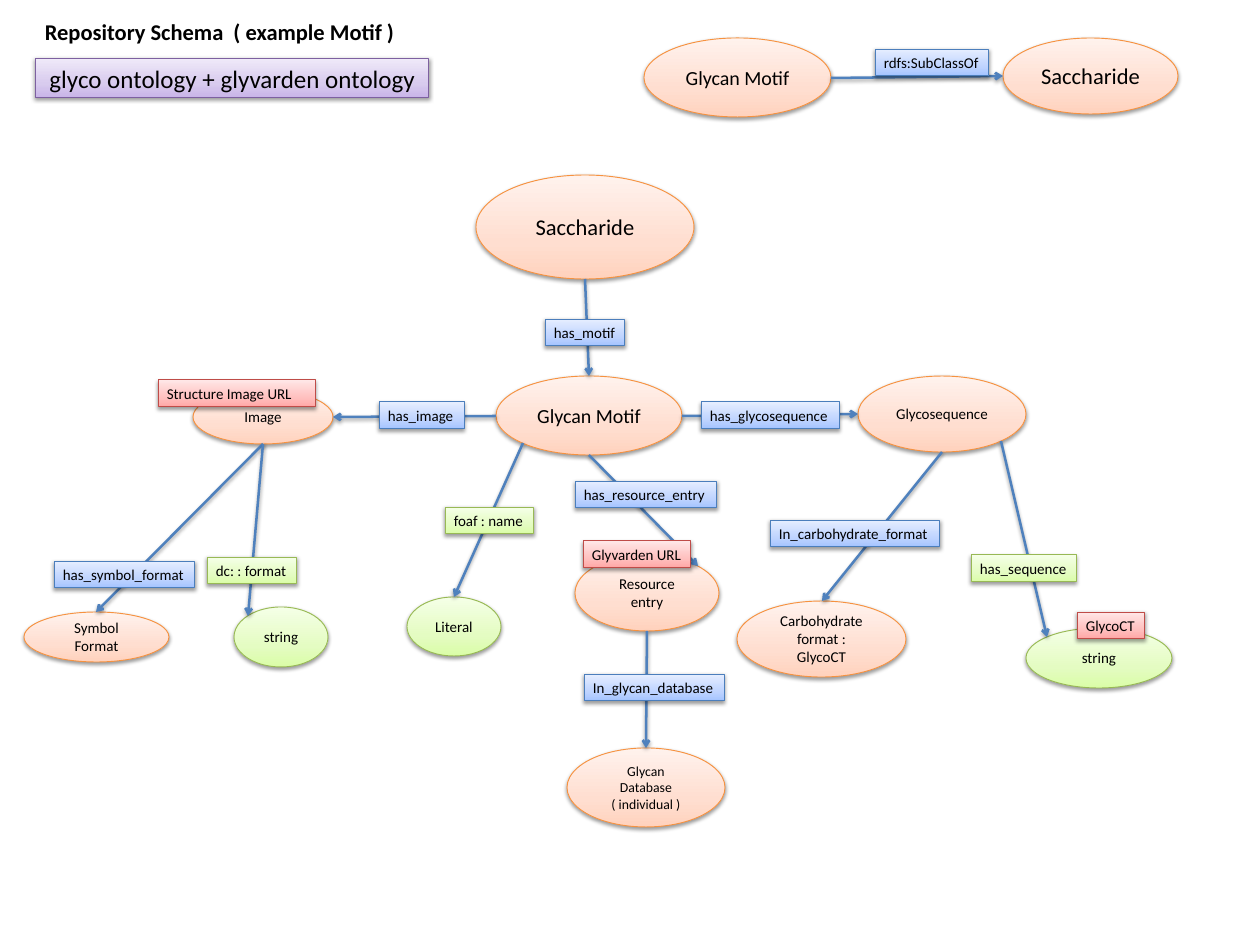
from math import cos, sin, radians
from pptx import Presentation
from pptx.dml.color import RGBColor
from pptx.enum.shapes import MSO_CONNECTOR, MSO_SHAPE
from pptx.enum.text import MSO_ANCHOR, MSO_AUTO_SIZE, PP_ALIGN
from pptx.oxml import parse_xml
from pptx.oxml.ns import nsdecls
from pptx.util import Emu, Pt

PX = 914400 // 90
COLORS = {"text": "000000", "arrow": "4F81BD"}
# Gradient from bottom to top, then outline
STYLES = {
    "orange": ("FFD2BD", "FFDED0", "FFF2ED", "F69240"),
    "green": ("DAFDA7", "E4FCC2", "F5FFE7", "98B955"),
    "blue": ("A4C4FF", "BFD4FF", "E6EEFF", "4B7EBC"),
    "red": ("FFA6A5", "FFC0BF", "FFE7E7", "BF4C48"),
    "purple": ("C9B5E8", "D8CBEE", "F0EAF9", "7D60A0"),
}
SHADOW = ('<a:outerShdw %s blurRad="40000" dist="20000" dir="5400000" rotWithShape="0">'
          '<a:srgbClr val="000000"><a:alpha val="38000"/></a:srgbClr></a:outerShdw>' % nsdecls("a"))

prs = Presentation()
prs.slide_width, prs.slide_height = Emu(1260 * PX), Emu(945 * PX)
s = prs.slides.add_slide(prs.slide_layouts[6])


def write(sp, text, size=12, bold=False, align=PP_ALIGN.LEFT, anchor=MSO_ANCHOR.TOP,
          wrap=True, grow=False, inset=(9, 5)):
    tf = sp.text_frame
    tf.word_wrap, tf.vertical_anchor = wrap, anchor
    tf.auto_size = MSO_AUTO_SIZE.SHAPE_TO_FIT_TEXT if grow else MSO_AUTO_SIZE.NONE
    tf.margin_left = tf.margin_right = Emu(inset[0] * PX)
    tf.margin_top = tf.margin_bottom = Emu(inset[1] * PX)
    for i, line in enumerate(text.split("\n")):
        p = tf.paragraphs[0] if i == 0 else tf.add_paragraph()
        p.alignment = align
        r = p.add_run()
        r.text = line
        r.font.name, r.font.size, r.font.bold = "Calibri", Pt(size), bold
        r.font.color.rgb = RGBColor.from_string(COLORS["text"])


def add_box(preset, box, style):
    sp = s.shapes.add_shape(preset, *[Emu(v * PX) for v in box])
    *stops, outline = STYLES[style]
    sp.line.color.rgb = RGBColor.from_string(outline)
    sp.line.width = Pt(0.75)
    gs = "".join('<a:gs pos="%d"><a:srgbClr val="%s"/></a:gs>' % (pos * 1000, c)
                 for pos, c in zip((0, 35, 100), stops))
    sp._element.spPr.prstGeom.addnext(parse_xml(
        '<a:gradFill %s rotWithShape="1"><a:gsLst>%s</a:gsLst>'
        '<a:lin ang="16200000" scaled="1"/></a:gradFill>' % (nsdecls("a"), gs)))
    sp.shadow.inherit = False
    sp._element.spPr[-1].append(parse_xml(SHADOW))
    return sp


# Nodes: text, box, style, text size
nodes = {
    "saccharide": ("Saccharide", (476, 175, 218, 104), "orange", 18),
    "motif": ("Glycan Motif", (496, 376, 186, 79), "orange", 16),
    "image": ("Image", (193, 390, 140, 54), "orange", 12),
    "symbol": ("Symbol Format", (24, 612, 145, 50), "orange", 12),
    "format string": ("string", (234, 607, 94, 60), "green", 12),
    "glycosequence": ("Glycosequence", (858, 376, 168, 76), "orange", 12),
    "sequence string": ("string", (1026, 628, 146, 60), "green", 12),
    "carbohydrate": ("Carbohydrate format : GlycoCT", (737, 601, 169, 76), "orange", 12),
    "resource": ("Resource entry", (575, 555, 144, 76), "orange", 12),
    "database": ("Glycan Database\n( individual )", (567, 748, 158, 79), "orange", 11),
    "literal": ("Literal", (407, 597, 94, 59), "green", 12),
    "parent class": ("Saccharide", (1003, 38, 175, 76), "orange", 18),
    "subclass": ("Glycan Motif", (644, 38, 187, 79), "orange", 16),
}
narrow_inset = ("image", "parent class")
for name, (text, box, style, size) in nodes.items():
    write(add_box(MSO_SHAPE.OVAL, box, style), text, size=size, align=PP_ALIGN.CENTER,
          anchor=MSO_ANCHOR.MIDDLE, inset=(9, 5) if name in narrow_inset else (13, 6))

# Arrows: node and angle on its rim (0 = right, 90 = bottom) at each end
arrows = [
    ("motif", 180, "image", 0),
    ("saccharide", 90, "motif", 270),
    ("image", 90, "symbol", 270),
    ("image", 90, "format string", 225),
    ("motif", 0, "glycosequence", 180),
    ("glycosequence", 45, "sequence string", 225),
    ("glycosequence", 90, "carbohydrate", 270),
    ("motif", 90, "resource", 315),
    ("resource", 90, "database", 270),
    ("motif", 135, "literal", 270),
    ("subclass", 0, "parent class", 180),
]
for start, start_angle, end, end_angle in arrows:
    ends = []
    for name, angle in ((start, start_angle), (end, end_angle)):
        x, y, w, h = nodes[name][1]
        ends += [Emu(round(x + w / 2 * (1 + cos(radians(angle)))) * PX),
                 Emu(round(y + h / 2 * (1 + sin(radians(angle)))) * PX)]
    c = s.shapes.add_connector(MSO_CONNECTOR.STRAIGHT, *ends)
    c.line.color.rgb = RGBColor.from_string(COLORS["arrow"])
    c.line.width = Pt(2)
    c.line._get_or_add_ln().append(parse_xml('<a:tailEnd %s type="arrow"/>' % nsdecls("a")))
    effects = parse_xml("<a:effectLst %s/>" % nsdecls("a"))
    effects.append(parse_xml(SHADOW))
    c._element.spPr.append(effects)

# Labels: text, left, top, width, style
labels = [
    ("has_motif", 545, 319, 80, "blue"),
    ("has_image", 379, 402, 85, "blue"),
    ("has_symbol_format", 54, 561, 141, "blue"),
    ("dc: : format", 207, 557, 90, "green"),
    ("has_sequence", 971, 555, 105, "green"),
    ("In_carbohydrate_format", 770, 520, 170, "blue"),
    ("has_glycosequence", 701, 402, 138, "blue"),
    ("Structure Image URL", 158, 380, 157, "red"),
    ("GlycoCT", 1077, 612, 68, "red"),
    ("rdfs:SubClassOf", 875, 49, 114, "blue"),
    ("has_resource_entry", 575, 481, 142, "blue"),
    ("In_glycan_database", 584, 674, 140, "blue"),
    ("Glyvarden URL", 583, 541, 108, "red"),
    ("foaf : name", 445, 507, 89, "green"),
]
for text, x, y, w, style in labels:
    write(add_box(MSO_SHAPE.RECTANGLE, (x, y, w, 27), style), text,
          wrap=text == "Structure Image URL", grow=True)

# Heading
write(add_box(MSO_SHAPE.RECTANGLE, (35, 58, 394, 39), "purple"),
      " glyco ontology + glyvarden ontology", size=20, wrap=False, grow=True)
title = s.shapes.add_textbox(*[Emu(v * PX) for v in (36, 13, 410, 36)])
write(title, "Repository Schema  ( example Motif )", size=18, bold=True, grow=True)

prs.save("out.pptx")
